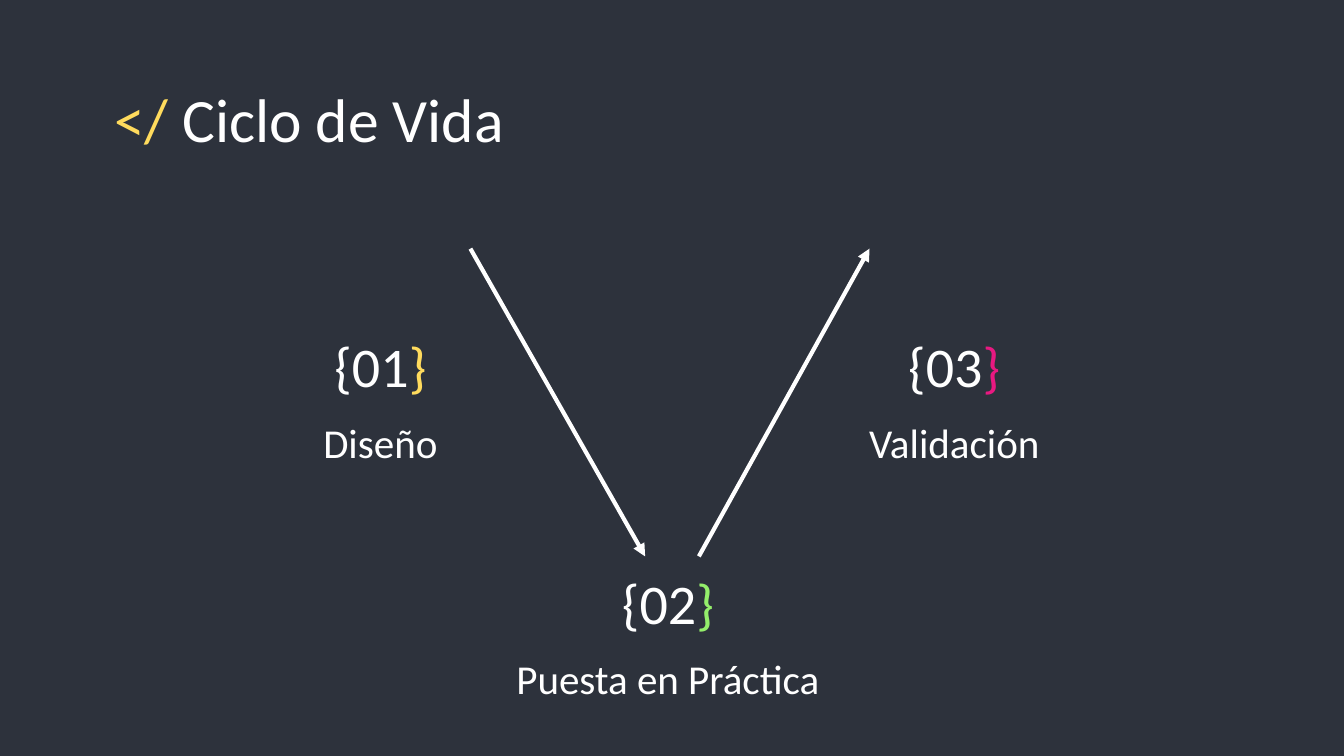
from dataclasses import dataclass

from lxml import etree
from pptx import Presentation
from pptx.dml.color import RGBColor
from pptx.enum.shapes import MSO_CONNECTOR
from pptx.enum.text import MSO_ANCHOR, PP_ALIGN
from pptx.oxml.ns import qn
from pptx.util import Inches, Pt

TOP, BOTTOM = MSO_ANCHOR.TOP, MSO_ANCHOR.BOTTOM
LEFT, CENTER = PP_ALIGN.LEFT, PP_ALIGN.CENTER
STRAIGHT = MSO_CONNECTOR.STRAIGHT


@dataclass(frozen=True)
class Theme:
    font: str = "Calibri"
    background: str = "2D323C"
    white: str = "FFFFFF"
    yellow: str = "FFDB5D"
    green: str = "94EE6B"
    pink: str = "E81981"
    title_size: float = 33
    number_size: float = 30
    label_size: float = 22
    line_width: float = 2.25


theme = Theme()

# Widescreen 16:9 slide
prs = Presentation()
prs.slide_width = Inches(10)
prs.slide_height = Inches(10 * 9 / 16)
s = prs.slides.add_slide(prs.slide_layouts[6])
s.background.fill.solid()
s.background.fill.fore_color.rgb = RGBColor.from_string(theme.background)


def add_text(*runs, x, y, w, h, size, align=CENTER, anchor=BOTTOM):
    """Add a one-line text box; each run is a (text, colour) pair."""
    sp = s.shapes.add_textbox(Inches(x), Inches(y), Inches(w), Inches(h))
    tf = sp.text_frame
    tf.word_wrap = True
    tf.vertical_anchor = anchor
    tf.margin_left = tf.margin_right = Inches(0.1)
    tf.margin_top = tf.margin_bottom = Inches(0.1)
    p = tf.paragraphs[0]
    p.alignment = align
    for text, color in runs:
        r = p.add_run()
        r.text = text
        r.font.name = theme.font
        r.font.size = Pt(size)
        r.font.color.rgb = RGBColor.from_string(color)


# Title
add_text(("</ ", theme.yellow), ("Ciclo de Vida", theme.white),
         x=0.75, y=0.5, w=3.68, h=0.63,
         size=theme.title_size, align=LEFT, anchor=TOP)

# Stages: number, label, accent, centre x, top y, label width
stages = [
    ("01", "Diseño", theme.yellow, 2.83, 2.38, 2.29),
    ("02", "Puesta en Práctica", theme.green, 4.97, 4.14, 3.06),
    ("03", "Validación", theme.pink, 7.1, 2.38, 2.29),
]
number_w, number_h, label_h = 1.21, 0.69, 0.5
for number, label, accent, cx, y, label_w in stages:
    add_text((label, theme.white), x=cx - label_w / 2, y=y + number_h,
             w=label_w, h=label_h, size=theme.label_size)
    add_text(("{" + number, theme.white), ("}", accent),
             x=cx - number_w / 2, y=y, w=number_w, h=number_h,
             size=theme.number_size)

# Arrows down to the second stage and up to the third
upper_y, lower_y = 1.85, 4.14
for x1, y1, x2, y2 in [(3.5, upper_y, 4.8, lower_y),
                       (5.2, lower_y, 6.47, upper_y)]:
    arrow = s.shapes.add_connector(STRAIGHT, Inches(x1), Inches(y1),
                                   Inches(x2), Inches(y2))
    arrow.line.color.rgb = RGBColor.from_string(theme.white)
    arrow.line.width = Pt(theme.line_width)
    sp_pr = arrow._element.spPr
    etree.SubElement(sp_pr.find(qn("a:ln")), qn("a:tailEnd"), type="triangle")
    etree.SubElement(sp_pr, qn("a:effectLst"))

prs.save("out.pptx")
